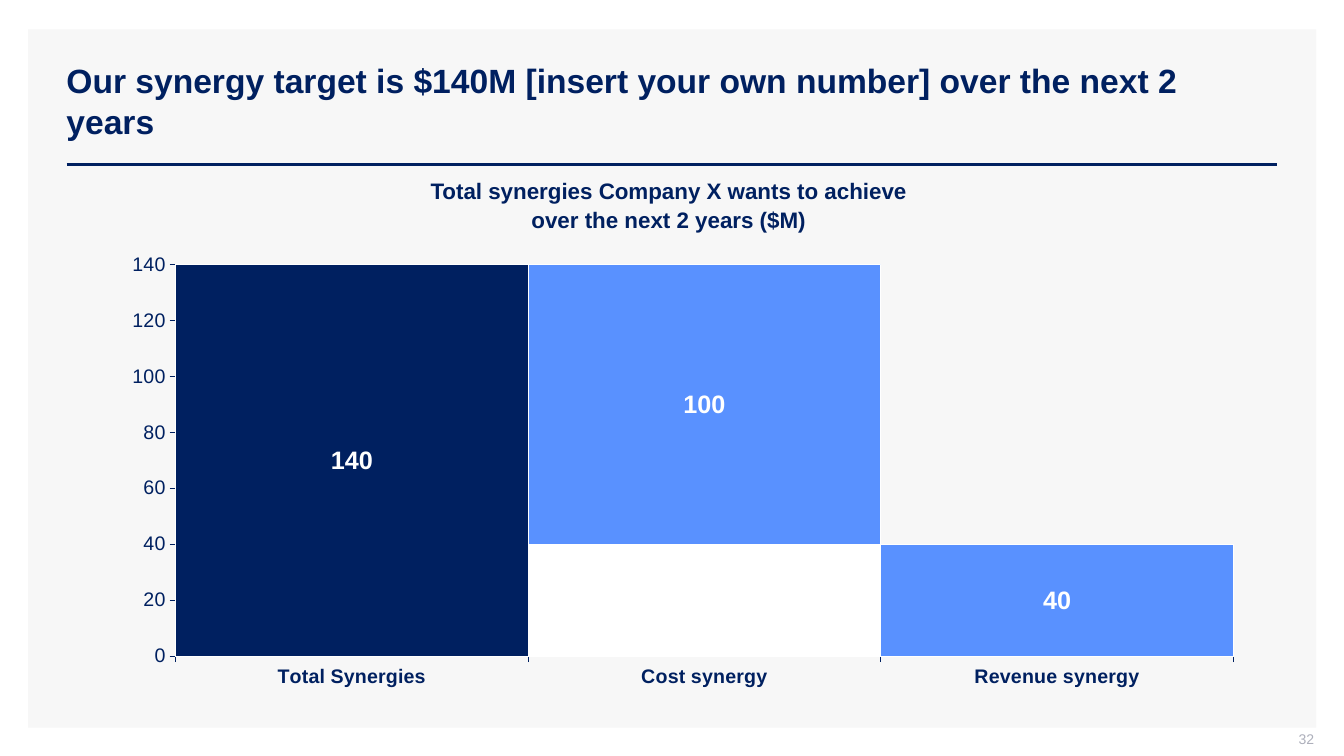
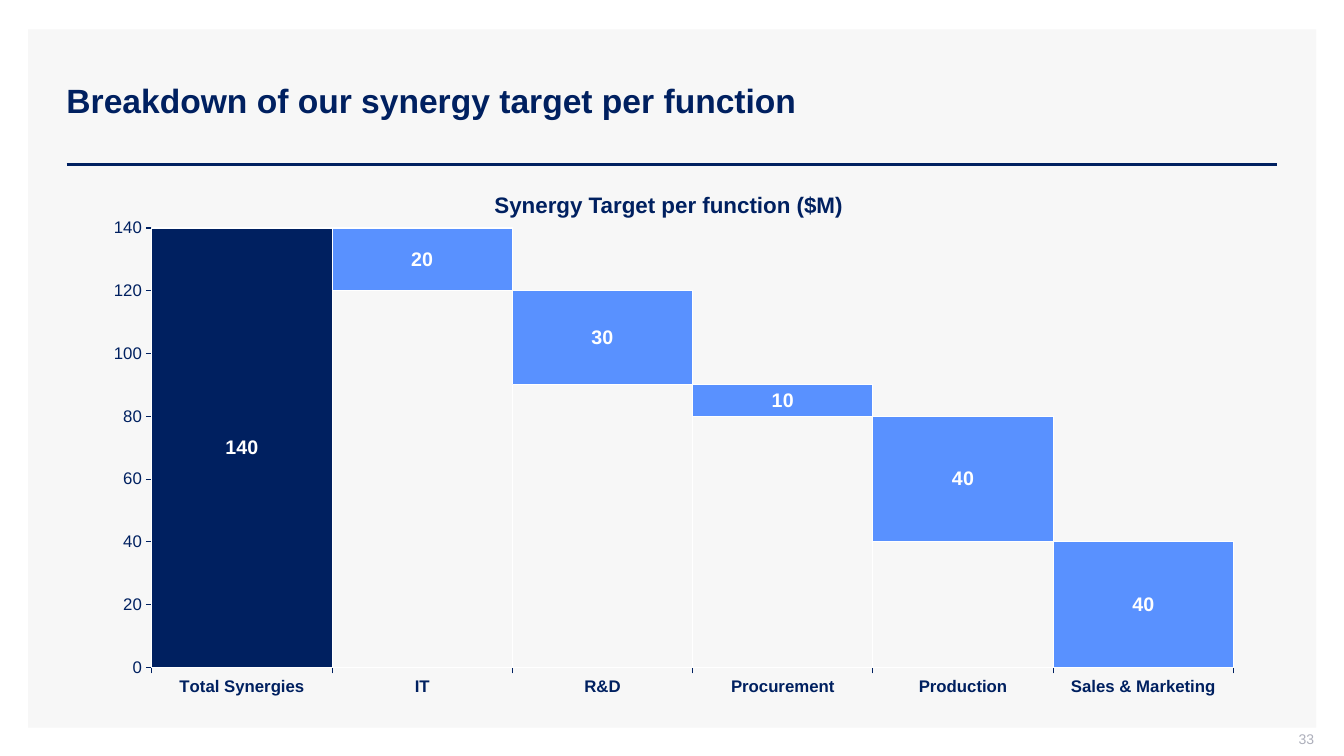
from itertools import accumulate

from lxml import etree
from pptx import Presentation
from pptx.chart.data import CategoryChartData
from pptx.dml.color import RGBColor
from pptx.enum.chart import XL_CHART_TYPE, XL_LABEL_POSITION, XL_TICK_MARK
from pptx.enum.shapes import MSO_CONNECTOR, MSO_SHAPE
from pptx.enum.text import MSO_ANCHOR, MSO_AUTO_SIZE, PP_ALIGN
from pptx.oxml.ns import qn
from pptx.util import Cm, Pt

STACKED = XL_CHART_TYPE.COLUMN_STACKED
LABEL_CENTER = XL_LABEL_POSITION.CENTER
TICK_OUTSIDE = XL_TICK_MARK.OUTSIDE
TICK_NONE = XL_TICK_MARK.NONE
STRAIGHT = MSO_CONNECTOR.STRAIGHT
RECTANGLE = MSO_SHAPE.RECTANGLE
MIDDLE = MSO_ANCHOR.MIDDLE
NO_AUTOFIT = MSO_AUTO_SIZE.NONE
LEFT, CENTER, RIGHT = PP_ALIGN.LEFT, PP_ALIGN.CENTER, PP_ALIGN.RIGHT

FONT = "Arial"
COLORS = {
    "navy": "002060",
    "blue": "5991FF",
    "panel": "F7F7F7",
    "white": "FFFFFF",
    "grey": "ADAFBB",
}
MARGIN, CONTENT_WIDTH = 1.68, 30.5

SLIDES = [
    {
        "title": "Our synergy target is $140M [insert your own number] over the next 2 years",
        "number": "32",
        "caption": ["Total synergies Company X wants to achieve ", "over the next 2 years ($M) "],
        "caption_box": (MARGIN, 4.45, CONTENT_WIDTH, 1.4),
        "chart_box": (MARGIN, 6.1, CONTENT_WIDTH, 12.19),
        "parts": {"Cost synergy": 100, "Revenue synergy": 40},
        "base_color": "white",
        "axis_size": 14,
        "label_size": 18,
        "plot_height": 0.81,
    },
    {
        "title": "Breakdown of our synergy target per function",
        "number": "33",
        "caption": ["Synergy Target per function ($M) "],
        "caption_box": (MARGIN, 4.8, CONTENT_WIDTH, 0.69),
        "chart_box": (1.02, 5.16, 31.19, 12.73),
        "parts": {"IT": 20, "R&D": 30, "Procurement": 10, "Production": 40, "Sales & Marketing": 40},
        "base_color": "panel",
        "axis_size": 12,
        "label_size": 14,
        "plot_height": 0.87,
    },
]


def color(name):
    return RGBColor.from_string(COLORS[name])


def lengths(box):
    return [Cm(value) for value in box]


def format_font(font, size, color_name, bold=False):
    font.name = FONT
    font.size = Pt(size)
    font.bold = bold
    font.color.rgb = color(color_name)


def format_line(line, color_name, width):
    line.color.rgb = color(color_name)
    line.width = Pt(width)


def write_paragraph(paragraph, text, size, color_name, bold, alignment):
    paragraph.alignment = alignment
    run = paragraph.add_run()
    run.text = text
    format_font(run.font, size, color_name, bold)


def add_text(slide, box, lines, size, color_name, bold, alignment, insets=(0, 0, 0, 0)):
    frame = slide.shapes.add_textbox(*lengths(box)).text_frame
    frame.word_wrap = True
    frame.vertical_anchor = MIDDLE
    frame.margin_left, frame.margin_top, frame.margin_right, frame.margin_bottom = lengths(insets)
    for index, text in enumerate(lines):
        paragraph = frame.add_paragraph() if index else frame.paragraphs[0]
        write_paragraph(paragraph, text, size, color_name, bold, alignment)
    return frame


def move_to_layout(layout, shapes):
    for index, shape in enumerate(shapes):
        shape.element.xpath(".//p:cNvPr")[0].set("id", str(100 + index))
        layout.shapes.element.insert(2 + index, shape.element)


def style_layout(layout, slide):
    panel = slide.shapes.add_shape(RECTANGLE, *lengths((0.71, 0.74, 32.46, 17.6)))
    panel.shadow.inherit = False
    panel.fill.solid()
    panel.fill.fore_color.rgb = color("panel")
    panel.line.fill.background()

    right = MARGIN + CONTENT_WIDTH
    rule = slide.shapes.add_connector(STRAIGHT, *lengths((MARGIN, 4.14, right, 4.14)))
    format_line(rule.line, "navy", 2)
    etree.SubElement(rule.element.spPr, qn("a:effectLst"))
    move_to_layout(layout, [panel, rule])

    title = layout.placeholders[0]
    title.left, title.top, title.width, title.height = lengths((1.42, 1.02, 30.76, 3.02))
    title.text_frame.vertical_anchor = MIDDLE
    title.text_frame.auto_size = NO_AUTOFIT


def add_title(slide, text):
    paragraph = slide.shapes.title.text_frame.paragraphs[0]
    write_paragraph(paragraph, text, 24, "navy", True, LEFT)


def add_slide_number(slide, number):
    add_text(slide, (25.5, 18.42, 7.62, 0.53), [number], 10, "grey", False, RIGHT, (0.25, 0, 0, 0.13))


def add_caption(slide, box, lines):
    frame = add_text(slide, box, lines, 16, "navy", True, CENTER)
    for paragraph in frame.paragraphs:
        paragraph.line_spacing = 1.06


def waterfall_data(parts):
    steps = list(parts.values())
    total = sum(steps)
    data = CategoryChartData()
    data.categories = ["Total Synergies", *parts]
    data.add_series("Series 1", [0] + [total - done for done in accumulate(steps)])
    data.add_series("Series 2", [None] + steps)
    data.add_series("Series 3", [total] + [None] * len(steps))
    return data


def set_plot_area(chart, height):
    plot_area = chart.element.find(".//" + qn("c:plotArea"))
    for old_layout in plot_area.findall(qn("c:layout")):
        plot_area.remove(old_layout)
    layout = etree.Element(qn("c:layout"))
    manual = etree.SubElement(layout, qn("c:manualLayout"))
    settings = {
        "layoutTarget": "inner", "xMode": "edge", "yMode": "edge",
        "x": 0.09, "y": 0.046, "w": 0.874, "h": height,
    }
    for name, value in settings.items():
        etree.SubElement(manual, qn(f"c:{name}")).set("val", str(value))
    plot_area.insert(0, layout)


def format_axis(axis, size, bold):
    axis.has_major_gridlines = False
    axis.major_tick_mark = TICK_OUTSIDE
    axis.minor_tick_mark = TICK_NONE
    format_font(axis.tick_labels.font, size, "navy", bold)
    format_line(axis.format.line, "navy", 0.75)


def format_series(series, color_name, label_size):
    series.invert_if_negative = False
    series.format.fill.solid()
    series.format.fill.fore_color.rgb = color(color_name)
    format_line(series.format.line, "white", 0.75)
    if label_size:
        labels = series.data_labels
        labels.show_value = True
        labels.position = LABEL_CENTER
        format_font(labels.font, label_size, "white", True)


def add_waterfall(slide, content):
    data = waterfall_data(content["parts"])
    chart = slide.shapes.add_chart(STACKED, *lengths(content["chart_box"]), data).chart
    chart.has_legend = False
    chart.has_title = False
    format_font(chart.font, content["axis_size"], "navy")
    set_plot_area(chart, content["plot_height"])

    plot = chart.plots[0]
    plot.gap_width = 0
    plot.overlap = 100
    plot.vary_by_categories = False
    label_size = content["label_size"]
    styles = [(content["base_color"], None), ("blue", label_size), ("navy", label_size)]
    for series, style in zip(plot.series, styles):
        format_series(series, *style)

    format_axis(chart.category_axis, content["axis_size"], True)
    value_axis = chart.value_axis
    format_axis(value_axis, content["axis_size"], False)
    value_axis.minimum_scale = 0
    value_axis.maximum_scale = sum(content["parts"].values())
    value_axis.major_unit = 20


def main():
    presentation = Presentation()
    presentation.slide_width = Cm(33.87)
    presentation.slide_height = Cm(19.05)
    layout = presentation.slide_layouts[5]
    for index, content in enumerate(SLIDES):
        slide = presentation.slides.add_slide(layout)
        if index == 0:
            style_layout(layout, slide)
        add_title(slide, content["title"])
        add_slide_number(slide, content["number"])
        add_caption(slide, content["caption_box"], content["caption"])
        add_waterfall(slide, content)
    presentation.save("out.pptx")


if __name__ == "__main__":
    main()
